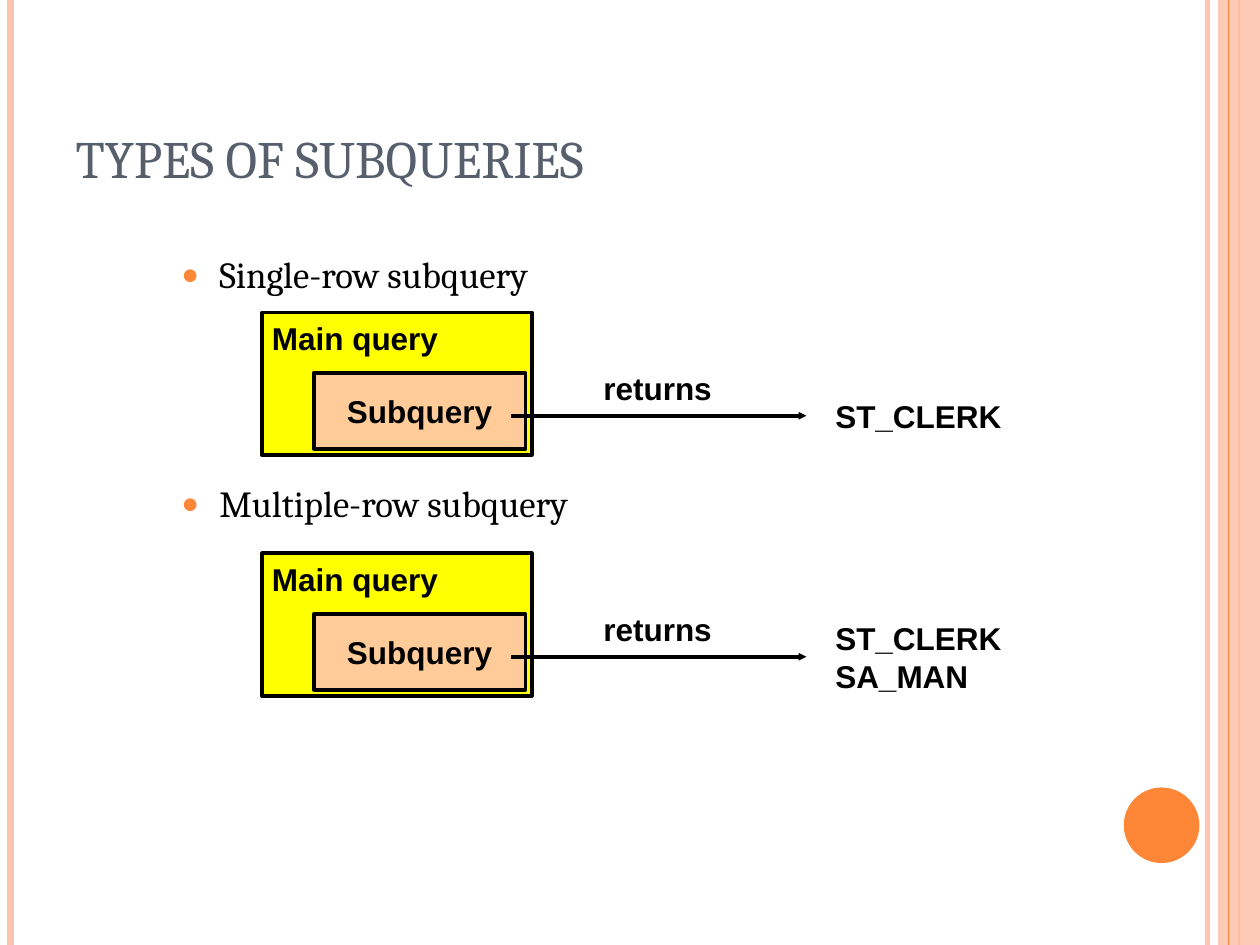
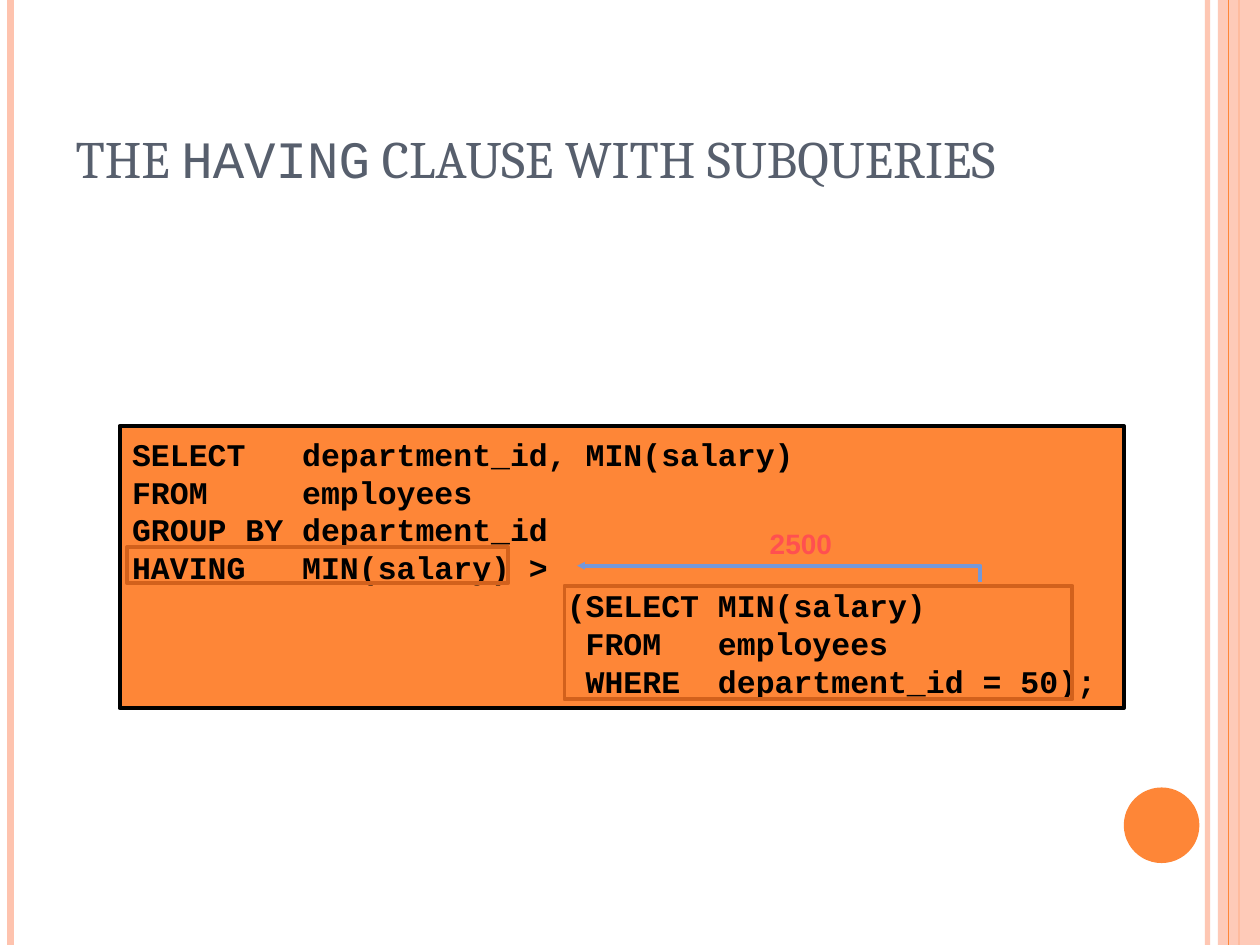
from dataclasses import dataclass
from typing import Optional

from lxml.etree import SubElement
from pptx import Presentation
from pptx.dml.color import RGBColor
from pptx.enum.shapes import MSO_CONNECTOR, MSO_SHAPE
from pptx.enum.text import MSO_ANCHOR, MSO_AUTO_SIZE, PP_ALIGN
from pptx.oxml.ns import qn
from pptx.util import Pt

# Shared look
COLORS = {
    "peach": "FEC3AE", "orange": "FE8637", "slate": "575F6D", "black": "000000",
    "yellow": "FFFF00", "sand": "FFCC99", "rust": "D2611C", "blue": "7598D9",
    "red": "FF5050",
}
PAGE_WIDTH, PAGE_HEIGHT = 720, 540
OUTLINE = 2.25
CHAR_WIDTH = 10.8  # one Courier New character at 18 pt

TITLE_FONT = {"name": "Cambria", "size": Pt(30), "bold": False}
LIST_FONT = {"name": "Cambria", "size": Pt(21), "bold": False}
LABEL_FONT = {"name": "Arial", "size": Pt(18), "bold": True}
VALUE_FONT = {"name": "Arial", "size": Pt(16), "bold": True}
CODE_FONT = {"name": "Courier New", "size": Pt(18), "bold": True}


@dataclass(frozen=True)
class Area:
    left: float
    top: float
    width: float
    height: float

    def lengths(self) -> tuple:
        return tuple(Pt(v) for v in (self.left, self.top, self.width, self.height))


@dataclass(frozen=True)
class Stripe:
    x: float
    color: str
    weight: float
    opacity: int = 100


@dataclass(frozen=True)
class QueryDiagram:
    top: float
    results: tuple


@dataclass(frozen=True)
class CodeLine:
    text: str
    columns: tuple  # character columns of the tab stops


TITLE_AREA = Area(36, 21.6, 588, 90)
STRIPES_BEHIND = (
    Stripe(690, "peach", 3, 93),
    Stripe(6, "peach", 4.5),
    Stripe(708, "orange", 1.5),
)
STRIPE_IN_FRONT = Stripe(702, "orange", 0.75)

DIAGRAMS = (
    QueryDiagram(178.6, ("ST_CLERK",)),
    QueryDiagram(316.3, ("ST_CLERK", "SA_MAN")),
)
CODE_LINES = (
    CodeLine("SELECT\tdepartment_id, MIN(salary)", (9,)),
    CodeLine("FROM\temployees", (9,)),
    CodeLine("GROUP BY\tdepartment_id", (9,)),
    CodeLine("HAVING\tMIN(salary) >", (9,)),
    CodeLine("\t(SELECT MIN(salary)", (23,)),
    CodeLine("\tFROM\temployees", (24, 31)),
    CodeLine("\tWHERE\tdepartment_id = 50);", (24, 31)),
)


# Formatting helpers
def rgb(color: str) -> RGBColor:
    return RGBColor.from_string(COLORS[color])


def set_values(target, values: dict) -> None:
    for name, value in values.items():
        setattr(target, name, value)


def set_font(font, values: dict, color: str) -> None:
    set_values(font, values)
    font.color.rgb = rgb(color)


def set_opacity(parent, percent: int) -> None:
    color = parent.find(".//" + qn("a:srgbClr"))
    SubElement(color, qn("a:alpha"), val=str(percent * 1000))


def add_arrowhead(shape) -> None:
    outline = shape.line._get_or_add_ln()
    SubElement(outline, qn("a:tailEnd"), type="triangle", w="sm", len="sm")


def set_tabs(para, columns: tuple) -> None:
    tabs = SubElement(para._p.get_or_add_pPr(), qn("a:tabLst"))
    for column in columns:
        SubElement(tabs, qn("a:tab"), pos=str(Pt(column * CHAR_WIDTH)), algn="l")


def set_bullet(para) -> None:
    properties = para._p.get_or_add_pPr()
    properties.set("marL", str(Pt(50.4)))
    properties.set("indent", str(Pt(-21.6)))
    bullet_color = SubElement(properties, qn("a:buClr"))
    SubElement(bullet_color, qn("a:srgbClr"), val=COLORS["orange"])
    SubElement(properties, qn("a:buSzPct"), val="80000")
    SubElement(properties, qn("a:buChar"), char="●")


# Drawing helpers
def add_box(page, area: Area, fill: Optional[str], line: Optional[str],
            kind=MSO_SHAPE.RECTANGLE):
    box = page.shapes.add_shape(kind, *area.lengths())
    box.shadow.inherit = False
    if fill:
        box.fill.solid()
        box.fill.fore_color.rgb = rgb(fill)
    else:
        box.fill.background()
    if line:
        box.line.color.rgb = rgb(line)
        box.line.width = Pt(OUTLINE)
    else:
        box.line.fill.background()
    return box


def add_line(page, start: tuple, end: tuple, color: str, weight: float):
    line = page.shapes.add_connector(
        MSO_CONNECTOR.STRAIGHT, *(Pt(v) for v in start + end))
    line.line.color.rgb = rgb(color)
    line.line.width = Pt(weight)
    SubElement(line._element.spPr, qn("a:effectLst"))
    return line


def add_stripe(page, stripe: Stripe) -> None:
    line = add_line(page, (stripe.x, 0), (stripe.x, PAGE_HEIGHT),
                    stripe.color, stripe.weight)
    if stripe.opacity < 100:
        set_opacity(line._element.spPr, stripe.opacity)


def write_lines(frame, lines: tuple, font: dict, color: str,
                alignment=PP_ALIGN.LEFT) -> list:
    for index, text in enumerate(lines):
        para = frame.paragraphs[0] if index == 0 else frame.add_paragraph()
        para.alignment = alignment
        span = para.add_run()
        span.text = text
        set_font(span.font, font, color)
    return list(frame.paragraphs)


def add_label(page, area: Area, lines: tuple, font: dict = LABEL_FONT,
              color: str = "black") -> None:
    box = page.shapes.add_textbox(*area.lengths())
    box.text_frame.word_wrap = False
    write_lines(box.text_frame, lines, font, color)


def place(holder, area: Area) -> None:
    set_values(holder, dict(zip(("left", "top", "width", "height"), area.lengths())))


def add_page(deck, layout: int, title_spans: tuple):
    page = deck.slides.add_slide(deck.slide_layouts[layout])
    # Side bands and corner disc
    for stripe in STRIPES_BEHIND:
        add_stripe(page, stripe)
    band = add_box(page, Area(696, 0, 24, PAGE_HEIGHT), "peach", None)
    set_opacity(band._element.spPr, 87)
    add_stripe(page, STRIPE_IN_FRONT)
    add_box(page, Area(642.2, 450, 43.2, 43.2), "orange", None, MSO_SHAPE.OVAL)
    # Title
    title = page.shapes.title
    place(title, TITLE_AREA)
    set_values(title.text_frame, {
        "vertical_anchor": MSO_ANCHOR.BOTTOM, "word_wrap": True,
        "auto_size": MSO_AUTO_SIZE.NONE})
    para = title.text_frame.paragraphs[0]
    para.alignment = PP_ALIGN.LEFT
    for text, font_name in title_spans:
        span = para.add_run()
        span.text = text
        set_font(span.font, {**TITLE_FONT, "name": font_name}, "slate")
    return page


def add_query_diagram(page, diagram: QueryDiagram) -> None:
    top = diagram.top
    arrow_y = top + 59
    add_box(page, Area(149.8, top, 154, 81.4), "yellow", "black")
    add_label(page, Area(148.3, top, 109.4, 28.8), ("Main query",))
    subquery = add_box(page, Area(179.3, top + 34.6, 121, 43.2), "sand", "black")
    subquery.text_frame.word_wrap = False
    subquery.text_frame.vertical_anchor = MSO_ANCHOR.MIDDLE
    write_lines(subquery.text_frame, ("Subquery",), LABEL_FONT, "black",
                PP_ALIGN.CENTER)
    arrow = add_line(page, (292.3, arrow_y), (460.8, arrow_y), "black", OUTLINE)
    add_arrowhead(arrow)
    add_label(page, Area(337.7, top + 28.8, 76.3, 28.8), ("returns",))
    # Results are centred on the arrow
    height = 7.2 + 21.6 * len(diagram.results)
    add_label(page, Area(470.2, arrow_y - height / 2, 109.4, height),
              diagram.results)


# Slides
def build_types_page(deck) -> None:
    page = add_page(deck, 1, (("TYPES OF SUBQUERIES", "Cambria"),))
    body = page.placeholders[1]
    place(body, Area(67.7, 143.3, 580.3, 161.3))
    body.text_frame.auto_size = MSO_AUTO_SIZE.NONE
    paras = write_lines(body.text_frame,
                        ("Single-row subquery", "Multiple-row subquery"),
                        LIST_FONT, "black")
    for para, gap in zip(paras, (5.2, 108)):
        set_values(para, {"level": 1, "line_spacing": 0.9, "space_before": Pt(gap)})
        set_bullet(para)
    for diagram in DIAGRAMS:
        add_query_diagram(page, diagram)


def build_having_page(deck) -> None:
    page = add_page(deck, 5, (("THE ", "Cambria"), ("HAVING", "Courier New"),
                              (" CLAUSE WITH SUBQUERIES", "Cambria")))
    # Code listing
    listing = add_box(page, Area(68.4, 243.4, 573.8, 161.3), "orange", "black")
    listing.text_frame.word_wrap = True
    listing.text_frame.vertical_anchor = MSO_ANCHOR.MIDDLE
    paras = write_lines(listing.text_frame, tuple(c.text for c in CODE_LINES),
                        CODE_FONT, "black")
    for para, code in zip(paras, CODE_LINES):
        set_tabs(para, code.columns)
    # Frames around the subquery and the HAVING clause
    for area in (Area(322.6, 334.8, 290.2, 64.8), Area(72.7, 312.5, 217.4, 20.9)):
        add_box(page, area, None, "rust")
    # Returned value
    builder = page.shapes.build_freeform(Pt(560.2), Pt(332.6))
    builder.add_line_segments(
        [(Pt(560.2), Pt(323.3)), (Pt(329.8), Pt(323.3))], close=False)
    arrow = builder.convert_to_shape()
    arrow.shadow.inherit = False
    arrow.fill.background()
    arrow.line.color.rgb = rgb("blue")
    arrow.line.width = Pt(OUTLINE)
    add_arrowhead(arrow)
    add_label(page, Area(432.8, 297.5, 50, 25.6), ("2500",), VALUE_FONT, "red")


def main() -> None:
    deck = Presentation()
    deck.slide_width, deck.slide_height = Pt(PAGE_WIDTH), Pt(PAGE_HEIGHT)
    build_types_page(deck)
    build_having_page(deck)
    deck.save("out.pptx")


if __name__ == "__main__":
    main()
